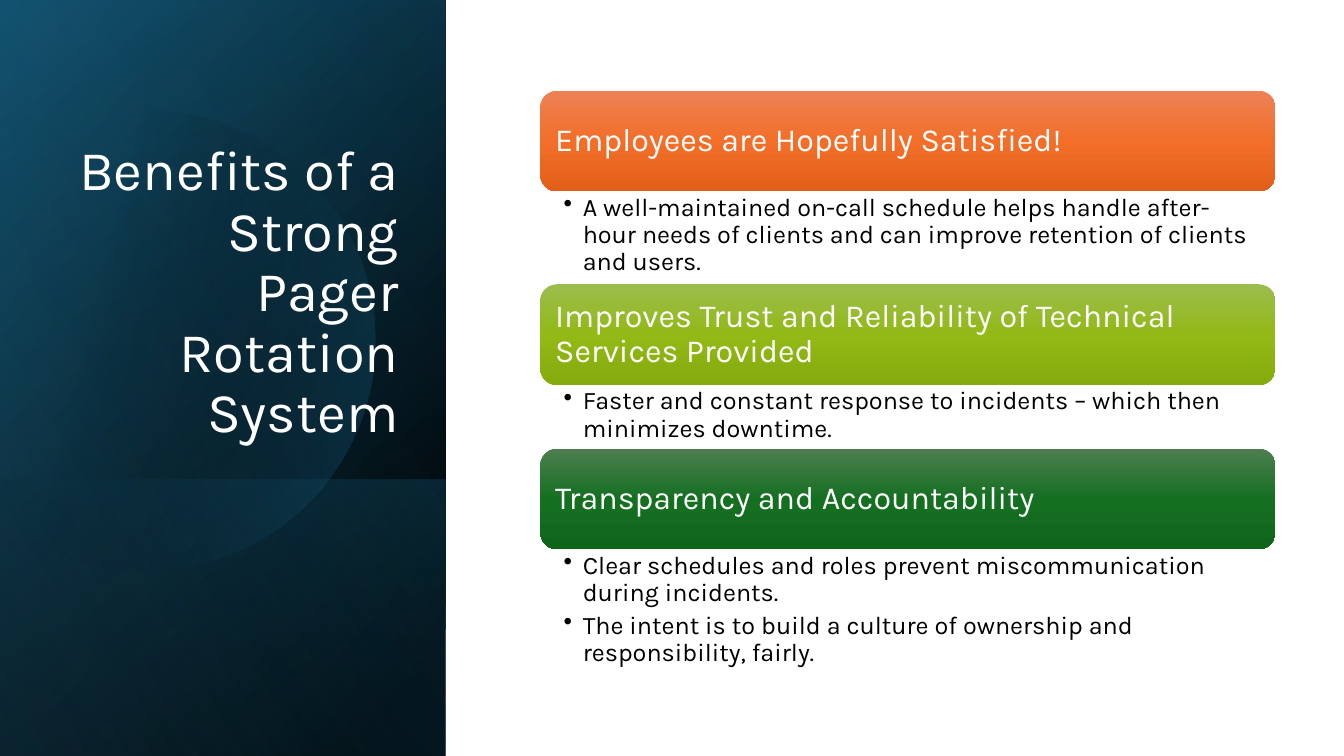
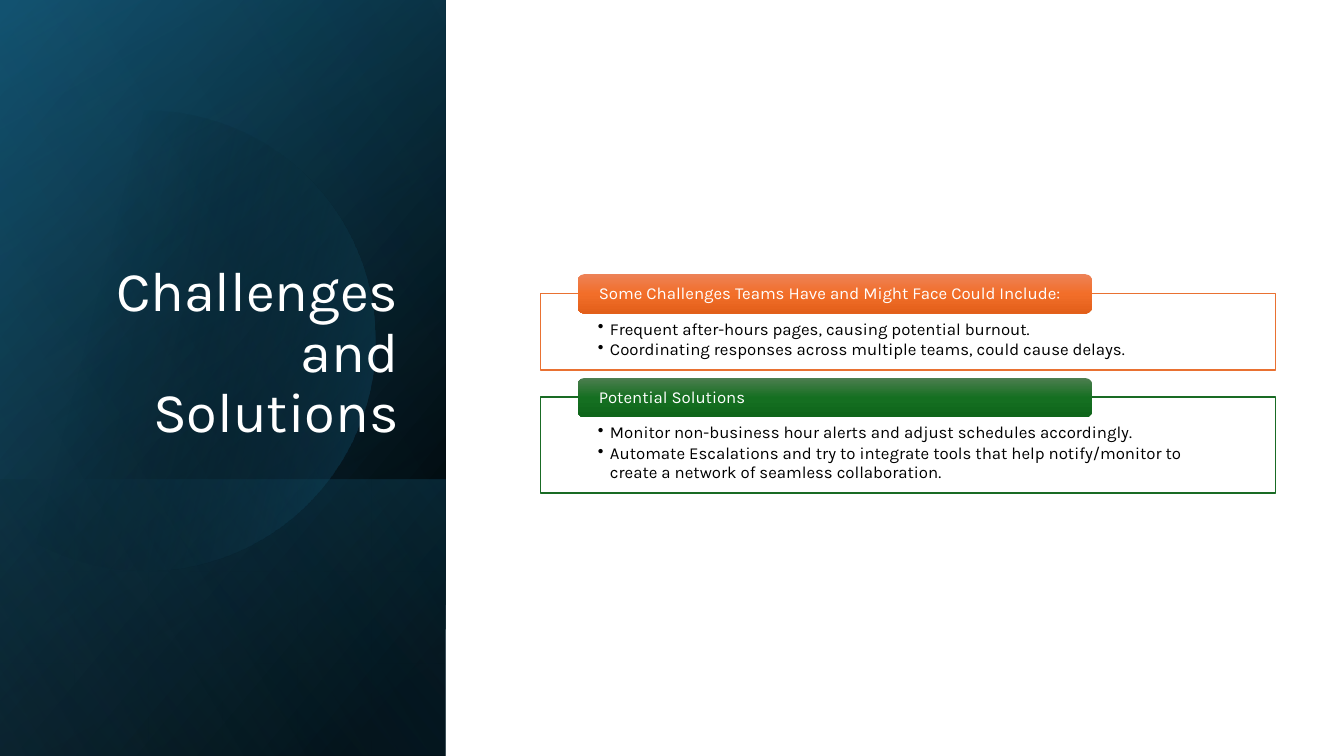
from dataclasses import dataclass
from math import acos, cos, sin

from lxml.etree import SubElement
from pptx import Presentation
from pptx.dml.color import RGBColor
from pptx.enum.shapes import MSO_SHAPE
from pptx.enum.text import MSO_ANCHOR, PP_ALIGN
from pptx.oxml.ns import qn
from pptx.shapes.base import BaseShape
from pptx.slide import Slide
from pptx.text.text import TextFrame
from pptx.util import Inches, Pt


@dataclass(frozen=True)
class Stop:
    pos: int
    color: str
    alpha: int = 100


@dataclass(frozen=True)
class Blend:
    stops: tuple[Stop, ...]
    angle: float = 90


@dataclass(frozen=True)
class Box:
    left: float
    top: float
    width: float
    height: float


@dataclass(frozen=True)
class Tone:
    line: str
    blend: Blend


@dataclass(frozen=True)
class Style:
    size: float
    color: str
    align: PP_ALIGN = PP_ALIGN.LEFT
    indent: float = 0
    after: float = 0


@dataclass(frozen=True)
class Card:
    head: str
    points: tuple[str, ...]
    tone: Tone
    height: float


def shade(top: str, mid: str, base: str) -> Blend:
    return Blend((Stop(0, top), Stop(50, mid), Stop(100, base)))


@dataclass(frozen=True)
class Theme:
    font: str = "Karla"
    white: str = "FFFFFF"
    title: Style = Style(40, "FFFFFF", PP_ALIGN.RIGHT)
    head: Style = Style(23, "FFFFFF")
    body: Style = Style(18, "000000", indent=0.19, after=4.3)
    tab: Style = Style(12, "FFFFFF")
    note: Style = Style(12, "000000", indent=0.12, after=2)
    orange: Tone = Tone("E97132", shade("ED8257", "F26E29", "E25F1A"))
    lime: Tone = Tone("92B916", shade("9CBD4E", "92B916", "85AB0D"))
    green: Tone = Tone("196B24", shade("4D7E50", "156F21", "0F661B"))
    base: Blend = Blend((Stop(8, "000000"), Stop(100, "104862")), 50)
    glow: Blend = Blend((Stop(0, "000000", 0), Stop(99, "156082", 46)), 30)
    foot: Blend = Blend((Stop(2, "156082", 29), Stop(100, "000000", 30)), 130)
    disc: Blend = Blend((Stop(29, "000000", 0), Stop(100, "156082", 43)), 14)
    sheen: Blend = Blend((Stop(0, "000000", 0), Stop(99, "46B1E1", 11)), 120)


THEME = Theme()
WIDE, HIGH = 13.33, 7.5
SIDE = Box(0, 0, 4.42, HIGH)
FOOT = Box(0, 4.76, 4.42, 2.74)
LEFT, WIDTH = 5.36, 7.29


def paint(shape: BaseShape, blend: Blend) -> None:
    shape.shadow.inherit = False
    shape.line.fill.background()
    shape.fill.gradient()
    grad = shape._element.spPr.find(qn("a:gradFill"))
    stops = grad.find(qn("a:gsLst"))
    for old in list(stops):
        stops.remove(old)
    for stop in blend.stops:
        node = SubElement(stops, qn("a:gs"), pos=str(stop.pos * 1000))
        tint = SubElement(node, qn("a:srgbClr"), val=stop.color)
        if stop.alpha < 100:
            SubElement(tint, qn("a:alpha"), val=str(stop.alpha * 1000))
    grad.find(qn("a:lin")).set("ang", str(int(blend.angle * 60000)))


def place(slide: Slide, kind: MSO_SHAPE, box: Box) -> BaseShape:
    shape = slide.shapes.add_shape(
        kind, Inches(box.left), Inches(box.top), Inches(box.width), Inches(box.height)
    )
    shape.shadow.inherit = False
    return shape


def label(slide: Slide, box: Box) -> TextFrame:
    return slide.shapes.add_textbox(
        Inches(box.left), Inches(box.top), Inches(box.width), Inches(box.height)
    ).text_frame


def write(
    frame: TextFrame,
    lines: tuple[str, ...],
    style: Style,
    anchor: MSO_ANCHOR,
    inset: tuple[float, float, float, float],
) -> None:
    frame.word_wrap = True
    frame.vertical_anchor = anchor
    frame.margin_left, frame.margin_top, frame.margin_right, frame.margin_bottom = map(
        Inches, inset
    )
    for count, line in enumerate(lines):
        para = frame.add_paragraph() if count else frame.paragraphs[0]
        para.alignment = style.align
        para.line_spacing = 0.9
        para.space_after = Pt(style.after)
        if style.indent:
            props = para._p.get_or_add_pPr()
            props.set("marL", str(Inches(style.indent)))
            props.set("indent", str(-Inches(style.indent)))
            SubElement(props, qn("a:buChar"), char="•")
        run = para.add_run()
        run.text = line
        run.font.name = THEME.font
        run.font.size = Pt(style.size)
        run.font.color.rgb = RGBColor.from_string(style.color)


def panel(slide: Slide, box: Box, blend: Blend) -> None:
    shift = (box.width - box.height) / 2
    turned = Box(box.left + shift, box.top - shift, box.height, box.width)
    shape = place(slide, MSO_SHAPE.RECTANGLE, turned)
    shape.rotation = 90
    shape._element.spPr.find(qn("a:xfrm")).set("flipH", "1")
    paint(shape, blend)


def disc(slide: Slide) -> None:
    mid, level, radius, steps = 1.44, 3.38, 2.28, 90
    sweep = acos(-mid / radius)
    turns = [sweep * (2 * step / steps - 1) for step in range(steps + 1)]
    dots = [
        (Inches(mid + radius * cos(turn)), Inches(level + radius * sin(turn)))
        for turn in turns
    ]
    pen = slide.shapes.build_freeform(*dots[0])
    pen.add_line_segments(dots[1:], close=True)
    paint(pen.convert_to_shape(), THEME.disc)


def start(deck: Presentation, title: str) -> Slide:
    slide = deck.slides.add_slide(deck.slide_layouts[6])
    slide.background.fill.solid()
    slide.background.fill.fore_color.rgb = RGBColor.from_string(THEME.white)
    panel(slide, SIDE, THEME.base)
    panel(slide, SIDE, THEME.glow)
    panel(slide, FOOT, THEME.foot)
    disc(slide)
    panel(slide, SIDE, THEME.sheen)
    frame = label(slide, Box(0.64, 1.84, 3.41, 2.62))
    write(frame, (title,), THEME.title, MSO_ANCHOR.BOTTOM, (0.1, 0.05, 0.1, 0.05))
    return slide


def banner(slide: Slide, box: Box, card: Card, style: Style, pad: float, rise: float) -> None:
    shape = place(slide, MSO_SHAPE.ROUNDED_RECTANGLE, box)
    paint(shape, card.tone.blend)
    write(shape.text_frame, (card.head,), style, MSO_ANCHOR.MIDDLE, (pad, rise, pad, rise))


def stack(slide: Slide, cards: tuple[Card, ...]) -> None:
    top, tall = 0.9, 1.0
    for card in cards:
        banner(slide, Box(LEFT, top, WIDTH, tall), card, THEME.head, 0.1, 0.1)
        frame = label(slide, Box(LEFT, top + tall, WIDTH, card.height))
        write(frame, card.points, THEME.body, MSO_ANCHOR.TOP, (0.23, 0.03, 0.18, 0.03))
        top += tall + card.height


def tabs(slide: Slide, cards: tuple[Card, ...]) -> None:
    top, gap, lift = 2.91, 0.27, 0.19
    for card in cards:
        shape = place(slide, MSO_SHAPE.RECTANGLE, Box(LEFT, top, WIDTH, card.height))
        shape.fill.solid()
        shape.fill.fore_color.rgb = RGBColor.from_string(THEME.white)
        shape.line.color.rgb = RGBColor.from_string(card.tone.line)
        shape.line.width = Pt(1)
        write(
            shape.text_frame, card.points, THEME.note, MSO_ANCHOR.TOP, (0.57, 0.27, 0.57, 0.09)
        )
        banner(slide, Box(5.73, top - lift, 5.1, 0.39), card, THEME.tab, 0.19, 0)
        top += card.height + gap


GAINS = (
    Card(
        "Employees are Hopefully Satisfied!",
        (
            "A well-maintained on-call schedule helps handle after-hour needs of clients "
            "and can improve retention of clients and users.",
        ),
        THEME.orange,
        0.92,
    ),
    Card(
        "Improves Trust and Reliability of Technical Services Provided",
        ("Faster and constant response to incidents – which then minimizes downtime.",),
        THEME.lime,
        0.63,
    ),
    Card(
        "Transparency and Accountability",
        (
            "Clear schedules and roles prevent miscommunication during incidents.",
            "The intent is to build a culture of ownership and responsibility, fairly.",
        ),
        THEME.green,
        1.25,
    ),
)

ISSUES = (
    Card(
        "Some Challenges Teams Have and Might Face Could Include:",
        (
            "Frequent after-hours pages, causing potential burnout.",
            "Coordinating responses across multiple teams, could cause delays.",
        ),
        THEME.orange,
        0.76,
    ),
    Card(
        "Potential Solutions",
        (
            "Monitor non-business hour alerts and adjust schedules accordingly.",
            "Automate Escalations and try to integrate tools that help notify/monitor to "
            "create a network of seamless collaboration.",
        ),
        THEME.green,
        0.95,
    ),
)


def main() -> None:
    deck = Presentation()
    deck.slide_width, deck.slide_height = Inches(WIDE), Inches(HIGH)
    stack(start(deck, "Benefits of a Strong Pager Rotation System"), GAINS)
    tabs(start(deck, "Challenges and Solutions"), ISSUES)
    deck.save("out.pptx")


if __name__ == "__main__":
    main()
